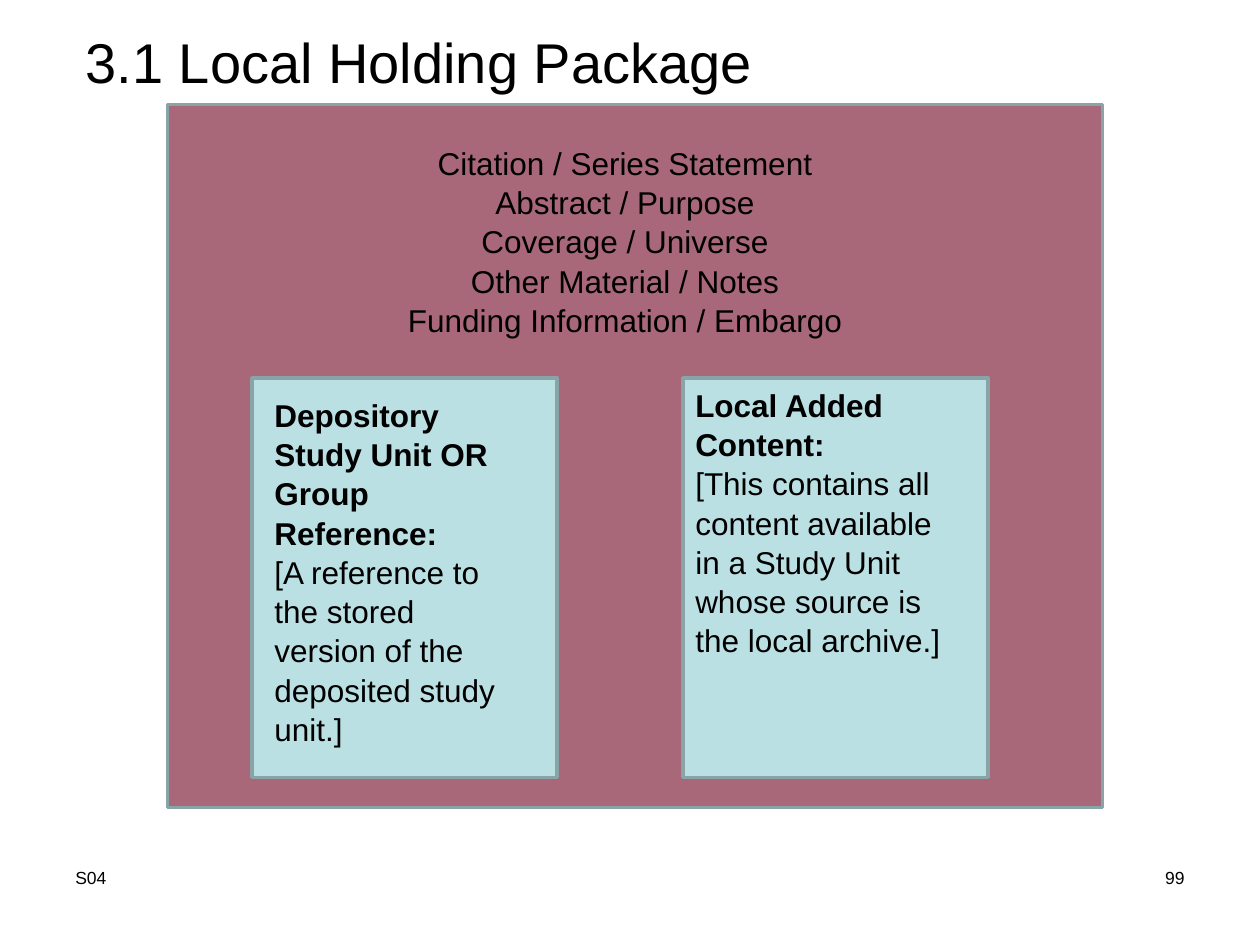
"""Build the Local Holding Package slide."""
from dataclasses import dataclass

from pptx import Presentation
from pptx.dml.color import RGBColor
from pptx.enum import shapes, text
from pptx.util import Inches, Pt

ALIGN = text.PP_ALIGN


@dataclass
class Box:
    left: float
    top: float
    width: float
    height: float

    def lengths(self):
        return [Inches(v) for v in (self.left, self.top, self.width, self.height)]


@dataclass
class Label:
    box: Box
    lines: list[str]
    size: int = 18
    align: ALIGN = ALIGN.LEFT
    bold_lines: int = 0
    spacing: float = 1.04


def color(hex_code: str) -> RGBColor:
    return RGBColor.from_string(hex_code)


def style(paragraph, size: int, align: ALIGN, bold: bool = False) -> None:
    paragraph.alignment = align
    font = paragraph.font
    font.name, font.size, font.bold = "Arial", Pt(size), bold
    font.color.rgb = color("000000")


def draw_panel(slide, box: Box, fill: str) -> None:
    panel = slide.shapes.add_shape(shapes.MSO_SHAPE.RECTANGLE, *box.lengths())
    panel.shadow.inherit = False
    panel.fill.solid()
    panel.fill.fore_color.rgb = color(fill)
    panel.line.color.rgb = color("89A4A7")
    panel.line.width = Pt(2)


def draw_label(slide, label: Label) -> None:
    frame = slide.shapes.add_textbox(*label.box.lengths()).text_frame
    frame.word_wrap = True
    frame.text = "\n".join(label.lines)
    for index, paragraph in enumerate(frame.paragraphs):
        style(paragraph, label.size, label.align, index < label.bold_lines)
        paragraph.line_spacing = label.spacing


def draw_title(slide, box: Box, heading: str) -> None:
    title = slide.shapes.title
    title.left, title.top, title.width, title.height = box.lengths()
    frame = title.text_frame
    frame.text = heading
    frame.word_wrap = True
    frame.auto_size = text.MSO_AUTO_SIZE.NONE
    frame.vertical_anchor = text.MSO_ANCHOR.TOP
    style(frame.paragraphs[0], 32, ALIGN.LEFT)


PACKAGE = Box(1.33, 0.83, 7.42, 5.58)
CONTENT_PANELS = [Box(left, 3, 2.42, 3.17) for left in (2, 5.42)]
LABELS = [
    Label(Box(2.08, 3.08, 2.17, 3.1),
          ["Depository Study Unit OR Group Reference:",
           "[A reference to the stored version of the deposited study unit.]"],
          bold_lines=1),
    Label(Box(5.42, 3, 2.33, 2.2),
          ["Local Added Content:",
           "[This contains all content available in a Study Unit whose source "
           "is the local archive.]"],
          bold_lines=1),
    Label(Box(1.92, 1.08, 6.08, 1.6),
          ["Citation / Series Statement", "Abstract / Purpose",
           "Coverage / Universe", "Other Material / Notes",
           "Funding Information / Embargo"],
          align=ALIGN.CENTER),
    Label(Box(0.5, 6.83, 2.33, 0.52), ["S04"], size=10, spacing=1.0),
    Label(Box(7.17, 6.83, 2.33, 0.52), ["99"], size=10, align=ALIGN.RIGHT,
          spacing=1.0),
]


def main() -> None:
    deck = Presentation()
    deck.slide_width, deck.slide_height = Inches(10), Inches(7.5)
    slide = deck.slides.add_slide(deck.slide_layouts[5])
    draw_title(slide, Box(0.58, 0.17, 9, 6.4), "3.1 Local Holding Package")
    draw_panel(slide, PACKAGE, "A8687A")
    for panel in CONTENT_PANELS:
        draw_panel(slide, panel, "BBE0E3")
    for label in LABELS:
        draw_label(slide, label)
    deck.save("out.pptx")


if __name__ == "__main__":
    main()
